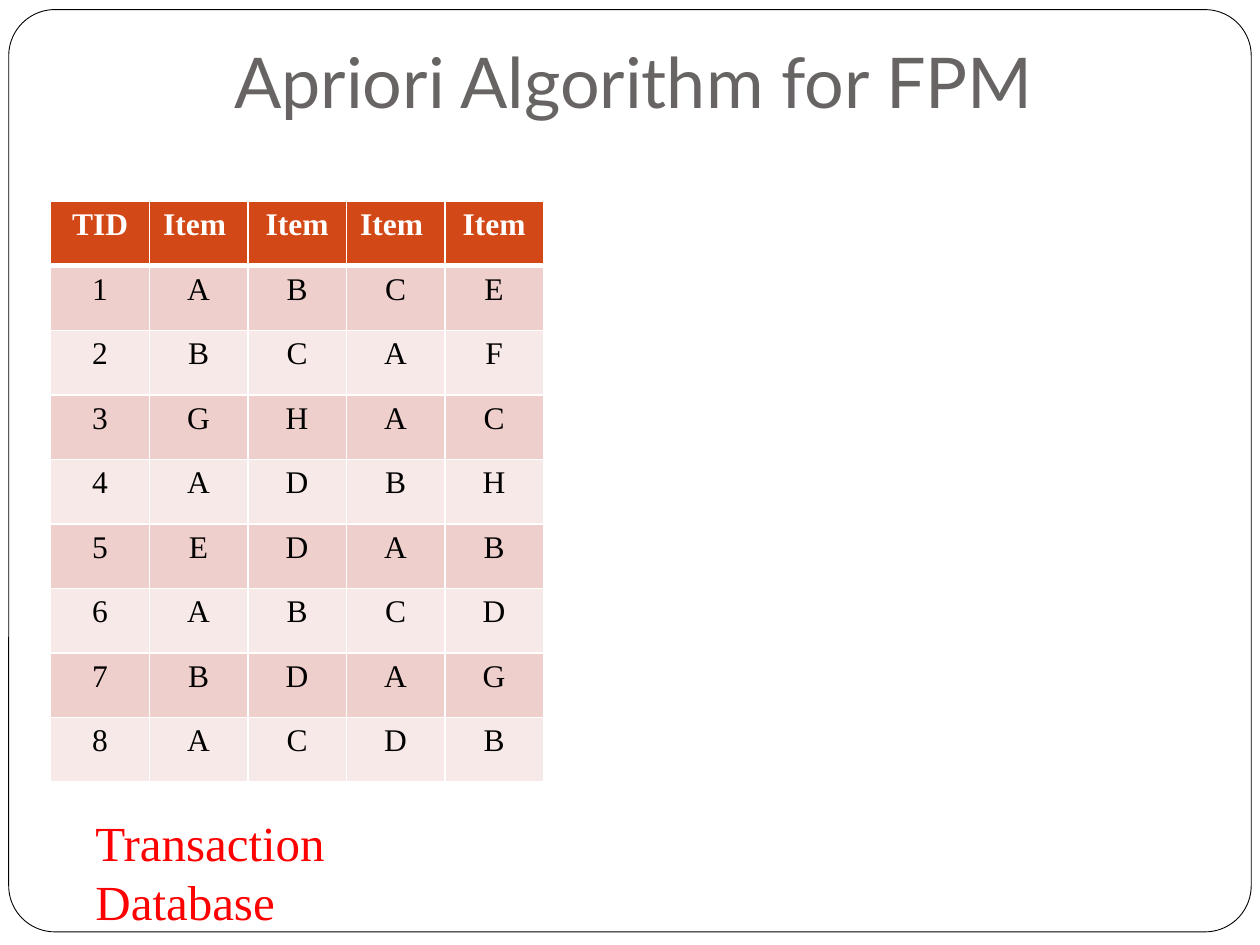
import dataclasses

import pptx
import pptx.dml.color
import pptx.enum.shapes
import pptx.enum.text
import pptx.oxml
import pptx.oxml.ns
import pptx.util

Pt = pptx.util.Pt
ALIGN = pptx.enum.text.PP_ALIGN
ANCHOR = pptx.enum.text.MSO_ANCHOR


@dataclasses.dataclass(frozen=True)
class Theme:
    title_font: str = "Lato"
    body_font: str = "Times New Roman"
    title_size: int = 40
    caption_size: int = 28
    cell_size: int = 18
    white: str = "FFFFFF"
    black: str = "000000"
    title: str = "696464"
    header: str = "D34817"
    dark_band: str = "EFCFCC"
    light_band: str = "F7E9E8"
    caption: str = "FF0000"


THEME = Theme()

TRANSACTIONS = ["ABCE", "BCAF", "GHAC", "ADBH", "EDAB", "ABCD", "BDAG", "ACDB"]
HEADINGS = ["TID", "Item ", "Item", "Item ", "Item"]


def rgb(color):
    return pptx.dml.color.RGBColor.from_string(color)


def write_text(frame, text, *, font, size, color, bold=False, align=ALIGN.LEFT):
    para = frame.paragraphs[0]
    para.alignment = align
    span = para.add_run()
    span.text = text
    span.font.name = font
    span.font.size = Pt(size)
    span.font.bold = bold
    span.font.color.rgb = rgb(color)


def fill_solid(item, color):
    item.fill.solid()
    item.fill.fore_color.rgb = rgb(color)


def set_borders(cell, *, top, bottom):
    properties = cell._tc.get_or_add_tcPr()
    widths = {"lnL": 1, "lnR": 1, "lnT": top, "lnB": bottom}
    for position, (side, width) in enumerate(widths.items()):
        line = pptx.oxml.parse_xml(
            f'<a:{side} {pptx.oxml.ns.nsdecls("a")} w="{Pt(width)}">'
            f'<a:solidFill><a:srgbClr val="{THEME.white}"/></a:solidFill></a:{side}>'
        )
        properties.insert(position, line)


def add_title(page, text, left, top, width, height):
    title = page.shapes.title
    title.left, title.top, title.width, title.height = map(Pt, (left, top, width, height))
    frame = title.text_frame
    frame.vertical_anchor = ANCHOR.BOTTOM
    frame.margin_bottom = Pt(7.2)
    write_text(frame, text, font=THEME.title_font, size=THEME.title_size,
               color=THEME.title, align=ALIGN.CENTER)


def add_page_frame(page, left, top, width, height):
    border = page.shapes.add_shape(pptx.enum.shapes.MSO_SHAPE.ROUNDED_RECTANGLE,
                                   Pt(left), Pt(top), Pt(width), Pt(height))
    border.adjustments[0] = 0.05
    border.shadow.inherit = False
    fill_solid(border, THEME.white)
    border.line.color.rgb = rgb(THEME.black)
    border.line.width = Pt(0.5)
    page.shapes.title.element.addprevious(border.element)


def add_transaction_table(page, left, top, column_width, row_height):
    rows = [HEADINGS] + [[str(tid), *items] for tid, items in enumerate(TRANSACTIONS, 1)]
    table = page.shapes.add_table(
        len(rows), len(HEADINGS), Pt(left), Pt(top),
        Pt(column_width * len(HEADINGS)), Pt(row_height * len(rows))).table
    for column in table.columns:
        column.width = Pt(column_width)
    for index, values in enumerate(rows):
        table.rows[index].height = Pt(row_height)
        is_header = index == 0
        band = THEME.dark_band if index % 2 else THEME.light_band
        for column, value in enumerate(values):
            cell = table.cell(index, column)
            fill_solid(cell, THEME.header if is_header else band)
            set_borders(cell, top=3 if index == 1 else 1, bottom=3 if is_header else 1)
            write_text(cell.text_frame, value, font=THEME.body_font, size=THEME.cell_size,
                       color=THEME.white if is_header else THEME.black,
                       bold=is_header, align=ALIGN.CENTER)


def add_caption(page, text, left, top, width, height):
    box = page.shapes.add_textbox(Pt(left), Pt(top), Pt(width), Pt(height))
    box.text_frame.word_wrap = True
    write_text(box.text_frame, text, font=THEME.body_font, size=THEME.caption_size,
               color=THEME.caption)


def main():
    deck = pptx.Presentation()
    deck.slide_width, deck.slide_height = Pt(720), Pt(540)
    page = deck.slides.add_slide(deck.slide_layouts[5])
    fill_solid(page.background, THEME.white)
    add_page_frame(page, 5, 5.5, 710, 527)
    add_title(page, "Apriori Algorithm for FPM", 56, 11, 612, 66)
    add_transaction_table(page, 29, 115, 56.3, 36.9)
    add_caption(page, "Transaction Database", 47.5, 461, 229.5, 41)
    deck.save("out.pptx")


if __name__ == "__main__":
    main()
